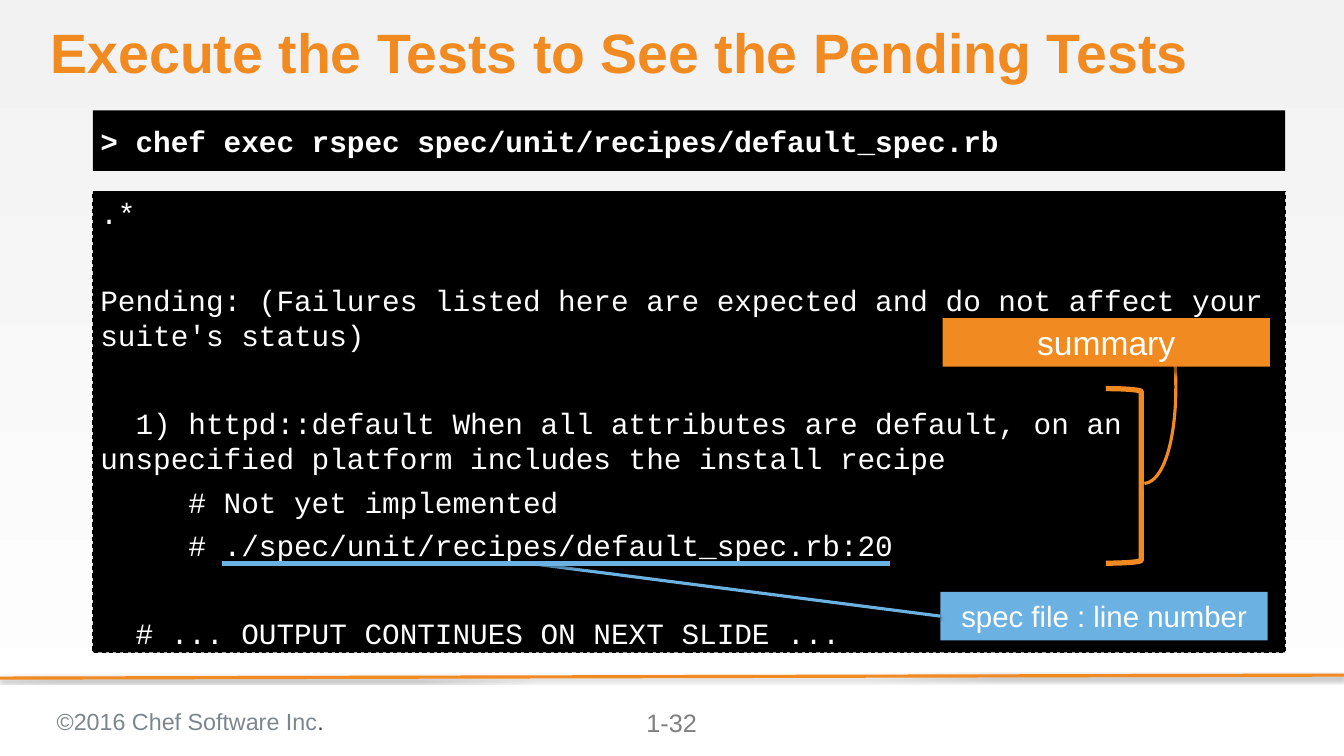
from dataclasses import dataclass
from typing import Optional

from lxml import etree
from pptx import Presentation
from pptx import util as u
from pptx.dml.color import RGBColor
from pptx.enum import dml, shapes, text
from pptx.oxml.ns import qn

ORANGE = RGBColor(0xF1, 0x8B, 0x21)
BLUE = RGBColor(0x6B, 0xB2, 0xE2)
BLACK = RGBColor(0, 0, 0)
WHITE = RGBColor(0xFF, 0xFF, 0xFF)
PALE = RGBColor(0xF2, 0xF2, 0xF2)
FOOTER = RGBColor(0x7D, 0x86, 0x8C)
FULL_STOP = RGBColor(0x3E, 0x43, 0x46)
NUMBER = RGBColor(0x7F, 0x7F, 0x7F)

WIDTH, HEIGHT = u.Inches(17.78), u.Inches(10)
LINE_PITCH, GAP = 33.6, 8
RECT = shapes.MSO_SHAPE.RECTANGLE
LEFT, CENTER = text.PP_ALIGN.LEFT, text.PP_ALIGN.CENTER
TOP, MIDDLE = text.MSO_ANCHOR.TOP, text.MSO_ANCHOR.MIDDLE


@dataclass(frozen=True)
class Box:
    """Position and size in percent of the slide."""
    x: float
    y: float
    w: float
    h: float

    def emu(self) -> tuple:
        return px(self.x), py(self.y), px(self.w), py(self.h)


@dataclass(frozen=True)
class Shadow:
    blur: float
    dist: float
    alpha: int


@dataclass(frozen=True)
class Style:
    size: float
    color: RGBColor
    name: str = "Arial"
    bold: bool = False


@dataclass(frozen=True)
class Label:
    box: Box
    words: str
    fill: RGBColor
    size: float


@dataclass(frozen=True)
class Stroke:
    start: tuple
    end: tuple
    color: RGBColor
    width: float


@dataclass(frozen=True)
class Outline:
    kind: shapes.MSO_SHAPE
    box: Box
    width: float
    rotation: float = 0


LINE_SHADOW = Shadow(3.1, 1.8, 35)
LABEL_SHADOW = Shadow(4, 6, 40)
CODE = Style(28, WHITE, "Courier New")
COMMAND = Style(28, WHITE, "Courier New", True)

OUTPUT = [
    (0, ".*"),
    (1, "Pending: (Failures listed here are expected and do not affect your suite's status)"),
    (1, "  1) httpd::default When all attributes are default, on an unspecified platform includes the install recipe"),
    (0, "     # Not yet implemented"),
    (0, "     # ./spec/unit/recipes/default_spec.rb:20"),
    (1, "  # ... OUTPUT CONTINUES ON NEXT SLIDE ..."),
]
FILE_LABEL = Label(Box(69.97, 78.3, 24.35, 6.4), "spec file : line number", BLUE, 28)
SUMMARY_LABEL = Label(Box(70.13, 42.1, 24.35, 6.4), "summary", ORANGE, 32)
DIVIDER = Stroke((100, 89.3), (0, 89.7), ORANGE, 3)
POINTER = Stroke((39.31, 74.5), (69.97, 81.5), BLUE, 3)
UNDERLINE = Stroke((16.54, 74.5), (66.2, 74.5), BLUE, 5)
OUTLINES = [
    Outline(shapes.MSO_SHAPE.RIGHT_BRACKET, Box(82.28, 51.4, 2.64, 23.1), 5),
    Outline(shapes.MSO_SHAPE.ARC, Box(75.2, 42.3, 18.39, 10.7), 3, 85.3),
]


def px(share: float) -> int:
    return round(WIDTH * share / 100)


def py(share: float) -> int:
    return round(HEIGHT * share / 100)


def set_shadow(sp, shadow: Shadow) -> None:
    effects = etree.SubElement(sp._element.spPr, qn("a:effectLst"))
    outer = etree.SubElement(effects, qn("a:outerShdw"), blurRad=str(u.Pt(shadow.blur)),
                             dist=str(u.Pt(shadow.dist)), dir="5400000", rotWithShape="0")
    color = etree.SubElement(outer, qn("a:srgbClr"), val="000000")
    etree.SubElement(color, qn("a:alpha"), val=str(shadow.alpha * 1000))


def frame(sp, anchor, margins: tuple):
    tf = sp.text_frame
    sides = ("margin_left", "margin_top", "margin_right", "margin_bottom")
    values = dict(zip(sides, map(u.Inches, margins)))
    for key, value in {"word_wrap": True, "auto_size": text.MSO_AUTO_SIZE.NONE,
                       "vertical_anchor": anchor, **values}.items():
        setattr(tf, key, value)
    return tf


def write(p, words: str, style: Style, align=LEFT) -> None:
    p.alignment = align
    r = p.add_run()
    r.text = words
    for key, value in {"size": u.Pt(style.size), "name": style.name, "bold": style.bold}.items():
        setattr(r.font, key, value)
    r.font.color.rgb = style.color


def add_panel(s, box: Box, fill: RGBColor, shadow: Optional[Shadow] = None):
    sp = s.shapes.add_shape(RECT, *box.emu())
    sp.fill.solid()
    sp.fill.fore_color.rgb = fill
    sp.line.fill.background()
    if shadow:
        set_shadow(sp, shadow)
    else:
        sp.shadow.inherit = False
    return sp


def add_label(s, label: Label):
    sp = add_panel(s, label.box, label.fill, LABEL_SHADOW)
    tf = frame(sp, MIDDLE, (0, 0, 0, 0))
    write(tf.paragraphs[0], label.words, Style(label.size, WHITE), CENTER)
    return sp


def add_stroke(s, stroke: Stroke):
    (x1, y1), (x2, y2) = stroke.start, stroke.end
    line = s.shapes.add_connector(shapes.MSO_CONNECTOR.STRAIGHT, px(x1), py(y1), px(x2), py(y2))
    line.line.color.rgb = stroke.color
    line.line.width = u.Pt(stroke.width)
    set_shadow(line, LINE_SHADOW)
    return line


def add_outline(s, outline: Outline) -> None:
    sp = s.shapes.add_shape(outline.kind, *outline.box.emu())
    sp.rotation = outline.rotation
    sp.fill.background()
    sp.line.color.rgb = ORANGE
    sp.line.width = u.Pt(outline.width)
    set_shadow(sp, LINE_SHADOW)


def add_footer(s, box: Box, parts: list, align=LEFT) -> None:
    tf = frame(s.shapes.add_textbox(*box.emu()), TOP, (0.1, 0.1, 0.1, 0.1))
    for words, style in parts:
        write(tf.paragraphs[0], words, style, align)


def add_output(s) -> None:
    sp = add_panel(s, Box(6.92, 25.3, 88.7, 61), BLACK)
    sp.line.color.rgb = BLACK
    sp.line.width = u.Pt(1)
    sp.line.dash_style = dml.MSO_LINE.DASH
    tf = frame(sp, TOP, (0.1, 0.05, 0.1, 0))
    for i, (skipped, words) in enumerate(OUTPUT):
        p = tf.add_paragraph() if i else tf.paragraphs[0]
        p.line_spacing = u.Pt(LINE_PITCH)
        if i:
            p.space_before = u.Pt(GAP + skipped * (LINE_PITCH + GAP))
        write(p, words, CODE)


def set_background(s) -> None:
    fill = s.background.fill
    fill.gradient()
    fill.gradient_angle = 270
    for stop, color, position in zip(fill.gradient_stops, (PALE, WHITE), (0, 1)):
        stop.color.rgb = color
        stop.position = position


def set_title(s, words: str) -> None:
    title = s.shapes.title
    title.left, title.top, title.width, title.height = Box(3.77, 3.4, 91.85, 9.1).emu()
    p = frame(title, TOP, (0, 0, 0, 0)).paragraphs[0]
    p.line_spacing = 0.9
    write(p, words, Style(52.8, ORANGE, bold=True))


def main() -> None:
    prs = Presentation()
    prs.slide_width, prs.slide_height = WIDTH, HEIGHT
    s = prs.slides.add_slide(prs.slide_layouts[5])
    set_background(s)
    set_title(s, "Execute the Tests to See the Pending Tests")
    add_stroke(s, DIVIDER)
    add_footer(s, Box(3.66, 92.5, 33.18, 5.2),
               [("©2016 Chef Software Inc", Style(22.2, FOOTER)), (".", Style(22.2, FULL_STOP))])
    add_footer(s, Box(45.56, 92.5, 8.83, 5.7), [("1-32", Style(24, NUMBER))], CENTER)
    add_output(s)
    command = add_panel(s, Box(6.92, 14.6, 88.7, 8), BLACK)
    write(frame(command, MIDDLE, (0.1, 0, 0, 0)).paragraphs[0],
          "> chef exec rspec spec/unit/recipes/default_spec.rb", COMMAND)
    file_label = add_label(s, FILE_LABEL)
    add_stroke(s, POINTER).end_connect(file_label, 1)
    add_stroke(s, UNDERLINE)
    for outline in OUTLINES:
        add_outline(s, outline)
    add_label(s, SUMMARY_LABEL)
    prs.save("out.pptx")


if __name__ == "__main__":
    main()
